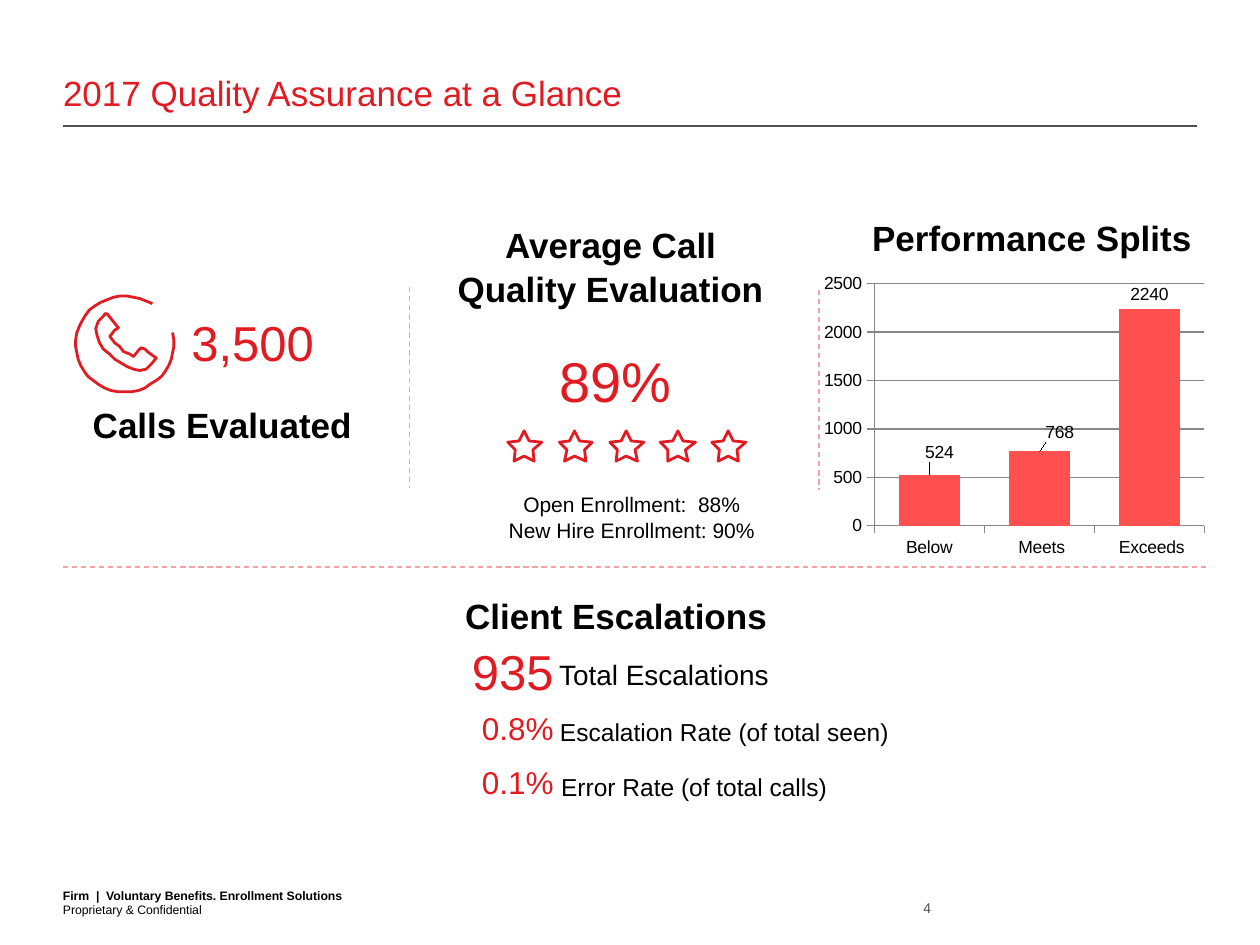
from dataclasses import dataclass
from math import cos, sin, radians
from lxml.etree import SubElement
from pptx import Presentation
from pptx.chart.data import CategoryChartData as Data
from pptx.dml.color import RGBColor as RGB
from pptx.enum.chart import XL_CHART_TYPE as Kind, XL_LABEL_POSITION as Spot, XL_TICK_MARK as Tick
from pptx.enum.dml import MSO_LINE as Dash
from pptx.enum.shapes import MSO_CONNECTOR as Link
from pptx.enum.text import MSO_ANCHOR as Anchor, MSO_AUTO_SIZE as Fit, PP_ALIGN as Align
from pptx.oxml import parse_xml
from pptx.oxml.ns import qn
from pptx.util import Inches, Pt


@dataclass
class Theme:
    face: str = "Arial"
    red: RGB = RGB(0xE1, 0x1B, 0x22)
    pink: RGB = RGB(0xF4, 0xA3, 0xA6)
    coral: RGB = RGB(0xFF, 0x50, 0x50)
    black: RGB = RGB(0, 0, 0)
    gray: RGB = RGB(0x4D, 0x4F, 0x53)
    grid: RGB = RGB(0x87, 0x87, 0x87)
    head: int = 20
    huge: int = 32
    big: int = 28
    rate: int = 18
    total: int = 16
    note: int = 14
    small: int = 12
    tick: int = 10
    page: int = 8
    foot: int = 7


theme = Theme()


def style(font, size, color, bold=False):
    for key, val in {"name": theme.face, "size": Pt(size), "bold": bold}.items():
        setattr(font, key, val)
    font.color.rgb = color


def write(box, rows, align, **form):
    frame = box.text_frame
    for key, val in form.items():
        setattr(frame, key, val)
    for i, (text, size, color, bold, extra) in enumerate(rows):
        para = frame.add_paragraph() if i else frame.paragraphs[0]
        para.alignment = align
        for key, val in extra.items():
            setattr(para, key, val)
        run = para.add_run()
        run.text = text
        style(run.font, size, color, bold)


deck = Presentation()
deck.slide_width, deck.slide_height = Inches(10), Inches(7.5)
slide = deck.slides.add_slide(deck.slide_layouts[5])
shapes = slide.shapes
bare = {"margin_left": 0, "margin_right": 0, "margin_top": 0, "margin_bottom": 0,
        "vertical_anchor": Anchor.BOTTOM, "word_wrap": True}

title = shapes.title
for key, val in {"left": 0.5, "top": 0.33, "width": 9, "height": 0.57}.items():
    setattr(title, key, Inches(val))
write(title, [("2017 Quality Assurance at a Glance", theme.head, theme.red, False, {})],
      Align.LEFT, **bare, auto_size=Fit.NONE)

foot = [("Firm  |  Voluntary Benefits. Enrollment Solutions", theme.foot, theme.black, True, {}),
        ("Proprietary & Confidential", theme.foot, theme.black, False, {})]
page = [("4", theme.page, theme.gray, False, {})]
for at, rows, align in [((0.5, 7.04, 6.6, 0.24), foot, Align.LEFT),
                        ((7, 7.14, 0.39, 0.13), page, Align.RIGHT)]:
    write(shapes.add_textbox(*map(Inches, at)), rows, align, **bare)

for at, text, size, color, bold in [
    ((0.63, 3.15, 2.27, 0.44), "Calls Evaluated", theme.head, theme.black, True),
    ((1.41, 2.43, 1.19, 0.57), "3,500", theme.big, theme.red, False),
    ((6.81, 1.67, 2.76, 0.44), "Performance Splits", theme.head, theme.black, True),
    ((3.58, 4.67, 2.62, 0.44), "Client Escalations", theme.head, theme.black, True),
    ((3.64, 5.04, 0.86, 0.57), "935", theme.big, theme.red, False),
    ((4.33, 5.17, 1.88, 0.37), "Total Escalations", theme.total, theme.black, False),
    ((3.72, 5.58, 0.78, 0.4), "0.8%", theme.rate, theme.red, False),
    ((3.72, 6.01, 0.78, 0.4), "0.1%", theme.rate, theme.red, False),
    ((4.34, 5.64, 2.82, 0.34), "Escalation Rate (of total seen)", theme.note, theme.black, False),
    ((4.35, 6.08, 2.32, 0.34), "Error Rate (of total calls)", theme.note, theme.black, False),
]:
    write(shapes.add_textbox(*map(Inches, at)), [(text, size, color, bold, {})],
          Align.CENTER, word_wrap=False, auto_size=Fit.SHAPE_TO_FIT_TEXT)

lead = {"line_spacing": 1.05}
score = [
    ("Average Call ", theme.head, theme.black, True, lead),
    ("Quality Evaluation ", theme.head, theme.black, True, lead),
    ("89%", theme.huge, theme.red, False, {**lead, "space_before": Pt(19.3)}),
    ("Open Enrollment:  88%", theme.small, theme.black, False, {**lead, "space_before": Pt(43.5)}),
    ("New Hire Enrollment: 90%", theme.small, theme.black, False, lead),
]
box = shapes.add_textbox(*map(Inches, (3.42, 1.71, 2.93, 2.59)))
write(box, score, Align.CENTER, word_wrap=False, auto_size=Fit.SHAPE_TO_FIT_TEXT)
for para in box.text_frame.paragraphs[3:]:
    para._p.get_or_add_pPr().set("marL", str(Inches(0.26)))

turns = [radians(-13 + 317 * i / 40) for i in range(41)]
ring = [(99 + 39 * cos(t), 273 + 38 * sin(t)) for t in turns]
phone = [(76, 261), (78, 255), (83, 250), (83, 249), (85, 249), (89, 254), (93, 259), (94, 260),
         (93, 261), (91, 262), (88, 266), (87, 267), (88, 268), (91, 272), (95, 275), (98, 279),
         (103, 281), (106, 283), (110, 278), (111, 277), (112, 276), (115, 277), (117, 279),
         (121, 282), (124, 284), (121, 288), (116, 293), (111, 294), (106, 293), (101, 291),
         (96, 288), (91, 285), (87, 281), (82, 277), (79, 272), (77, 266)]
star = [(13, 0), (17, 8), (27, 9), (20, 15), (21.5, 24.5), (13, 20), (5, 24.5), (6, 15), (0, 9), (9, 8)]
stars = [[(403 + 40.5 * i + x, 342 + y) for x, y in star] for i in range(5)]
for parts in [[(ring, False), (phone, True)], [(dots, True) for dots in stars]]:
    group = shapes.add_group_shape()
    for dots, close in parts:
        pen = group.shapes.build_freeform(*dots[0], scale=Inches(0.01))
        pen.add_line_segments(dots[1:], close=close)
        form = pen.convert_to_shape()
        form.shadow.inherit = False
        form.fill.background()
        form.line.color.rgb = theme.red
        form.line.width = Pt(1.6)

for ends, color, dash in [
    ((0.5, 1, 9.5, 1), theme.gray, None),
    ((3.25, 2.28, 3.25, 3.87), theme.pink, Dash.DASH),
    ((6.5, 2.3, 6.5, 3.89), theme.pink, Dash.DASH),
    ((0.5, 4.5, 9.59, 4.5), theme.pink, Dash.DASH),
]:
    rule = shapes.add_connector(Link.STRAIGHT, *map(Inches, ends))
    rule.line.color.rgb = color
    rule.line.width = Pt(0.75)
    rule.line.dash_style = dash
    SubElement(rule._element.spPr, qn("a:effectLst"))

data = Data()
data.categories = ["Below", " Meets", " Exceeds"]
data.add_series("Series 1", (524, 768, 2240))
chart = shapes.add_chart(Kind.COLUMN_CLUSTERED, *map(Inches, (6.42, 2.1, 4.03, 3.1)), data).chart
chart.has_legend = chart.has_title = False
style(chart.font, theme.tick, theme.black)
for key, val in {"minimum_scale": 0, "maximum_scale": 2500, "major_unit": 500,
                 "has_major_gridlines": True}.items():
    setattr(chart.value_axis, key, val)
for axis in (chart.value_axis, chart.category_axis):
    axis.major_tick_mark = Tick.OUTSIDE
    axis.format.line.color.rgb = theme.grid
chart.value_axis.major_gridlines.format.line.color.rgb = theme.grid
plot = chart.plots[0]
plot.gap_width = 79
plot.vary_by_categories = False
bars = plot.series[0]
bars.format.fill.solid()
bars.format.fill.fore_color.rgb = theme.coral
tags = bars.data_labels
tags.show_value = True
tags.position = Spot.OUTSIDE_END
style(tags.font, theme.tick, theme.black)
for i in range(2):
    tag = bars.points[i].data_label
    style(tag.font, theme.tick, theme.black)
    tag.position = Spot.OUTSIDE_END

area = chart._chartSpace.xpath(".//c:plotArea")[0]
for old in area.findall(qn("c:layout")):
    area.remove(old)
first, second = bars._element.xpath(".//c:dLbl")
inner = {"layoutTarget": "inner", "xMode": "edge", "yMode": "edge",
         "x": 0.129, "y": 0.049, "w": 0.65, "h": 0.62}
for node, spot, vals in [(area, 0, inner), (first, 1, {"x": 0.02, "y": -0.02}),
                         (second, 1, {"x": 0.04, "y": -0.01})]:
    lay = parse_xml('<c:layout xmlns:c="http://schemas.openxmlformats.org/drawingml/2006/chart"/>')
    hand = SubElement(lay, qn("c:manualLayout"))
    for key, val in vals.items():
        SubElement(hand, qn("c:" + key)).set("val", str(val))
    node.insert(spot, lay)

deck.save("out.pptx")
